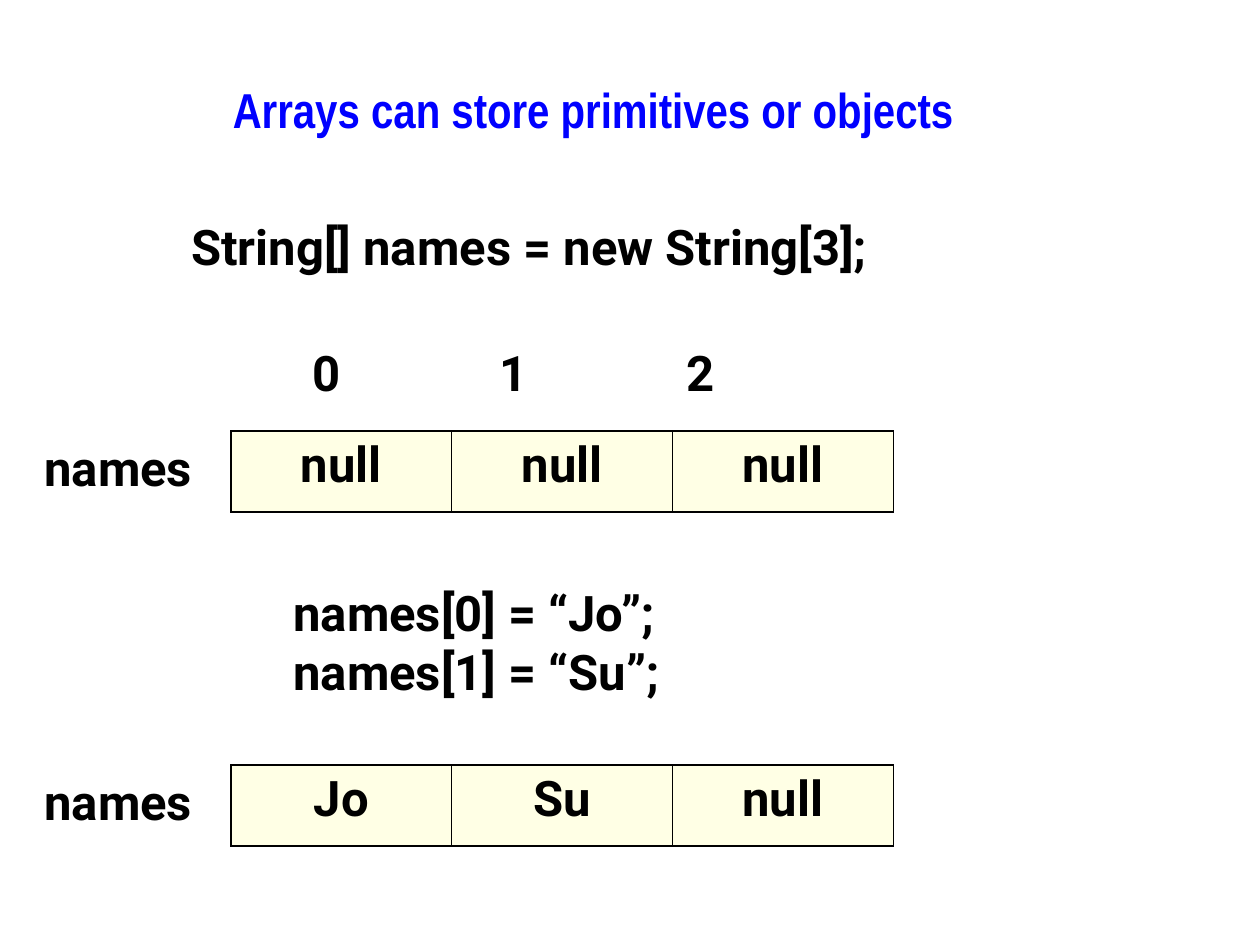
from lxml import etree
from pptx import Presentation
from pptx.dml.color import RGBColor
from pptx.enum.text import PP_ALIGN
from pptx.oxml.ns import qn
from pptx.util import Pt

PX_PER_INCH = 126
EMU_PER_INCH = 914400
LEFT, CENTER = PP_ALIGN.LEFT, PP_ALIGN.CENTER

BLACK = RGBColor(0x00, 0x00, 0x00)
BLUE = RGBColor(0x00, 0x00, 0xFF)
CREAM = RGBColor(0xFF, 0xFF, 0xCC)

BODY_FONT = "Roboto"
TITLE_FONT = "Arial Narrow"
THIN, THICK = 0.45, 1.08

ARRAY_LEFT, ARRAY_WIDTH, ARRAY_HEIGHT = 231, 662, 81
INDEX_START, INDEX_STEP = 51, 187


def px(length):
    return round(length * EMU_PER_INCH / PX_PER_INCH)


def style(para, font=BODY_FONT, color=BLACK, align=LEFT):
    para.alignment = align
    para.font.size = Pt(28)
    para.font.bold = True
    para.font.name = font
    para.font.color.rgb = color
    for span in para.runs:
        span.font.size = Pt(28)
        span.font.bold = True
        span.font.name = font
        span.font.color.rgb = color


def add_text(page, text, left, top, width, height, wrap=False, **look):
    box = page.shapes.add_textbox(px(left), px(top), px(width), px(height))
    box.text_frame.word_wrap = wrap
    box.text_frame.text = text
    for para in box.text_frame.paragraphs:
        style(para, **look)
    return box


def add_index_row(page, indexes, top):
    """Write the indexes on evenly spaced tab stops above the array."""
    text = "".join(f"\t{index}" for index in indexes)
    box = add_text(page, text, 249, top, 936, 72, wrap=True)
    properties = box.text_frame.paragraphs[0]._p.get_or_add_pPr()
    stops = etree.Element(qn("a:tabLst"))
    for column in range(len(indexes)):
        position = px(INDEX_START + column * INDEX_STEP)
        etree.SubElement(stops, qn("a:tab"), pos=str(position), algn="l")
    properties.insert(0, stops)


def set_borders(cell, widths):
    """Draw black borders; widths maps a side (L, R, T, B) to points."""
    properties = cell._tc.get_or_add_tcPr()
    for place, side in enumerate("LRTB"):
        line = etree.Element(qn(f"a:ln{side}"), w=str(Pt(widths[side])))
        fill = etree.SubElement(line, qn("a:solidFill"))
        etree.SubElement(fill, qn("a:srgbClr"), val=str(BLACK))
        properties.insert(place, line)


def fill_half_clear(cell, color):
    cell.fill.solid()
    cell.fill.fore_color.rgb = color
    shade = cell._tc.tcPr.find(f"{qn('a:solidFill')}/{qn('a:srgbClr')}")
    etree.SubElement(shade, qn("a:alpha"), val="50000")


def add_array(page, name, values, top):
    """Add the variable name and a one-row table of its elements."""
    add_text(page, name, 32, top, 188, 72)
    table = page.shapes.add_table(
        1, len(values), px(ARRAY_LEFT), px(top), px(ARRAY_WIDTH), px(ARRAY_HEIGHT)
    ).table
    table.first_row = False
    table.horz_banding = False
    for column, value in enumerate(values):
        cell = table.cell(0, column)
        cell.text = value
        style(cell.text_frame.paragraphs[0], align=CENTER)
        fill_half_clear(cell, CREAM)
        left = THIN if column else THICK
        set_borders(cell, {"L": left, "R": THIN, "T": THICK, "B": THICK})


def main():
    deck = Presentation()
    deck.slide_width, deck.slide_height = px(1260), px(945)
    page = deck.slides.add_slide(deck.slide_layouts[6])

    add_text(page, "Arrays can store primitives or objects", 21, 73, 1144, 95,
             wrap=True, font=TITLE_FONT, color=BLUE, align=CENTER)
    add_text(page, "String[] names = new String[3];", 179, 210, 786, 72)
    add_index_row(page, range(3), 336)
    add_array(page, "names", ["null", "null", "null"], 431)
    add_text(page, "names[0] = “Jo”;\nnames[1] = “Su”;", 281, 576, 431, 131)
    add_array(page, "names", ["Jo", "Su", "null"], 765)

    deck.save("out.pptx")


if __name__ == "__main__":
    main()
